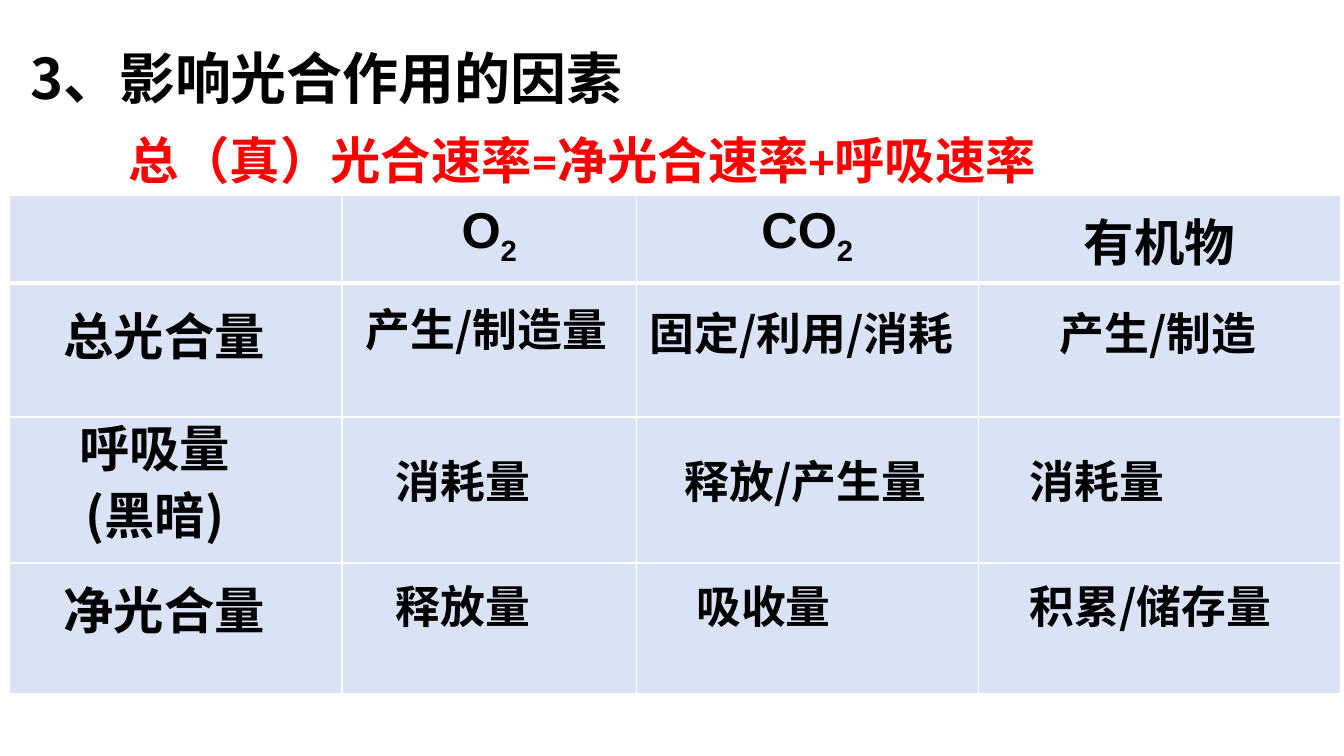
from lxml import etree
from pptx import Presentation
from pptx.dml.color import RGBColor
from pptx.enum.text import PP_ALIGN
from pptx.oxml.ns import qn
from pptx.util import Cm, Pt

LEFT, CENTER = PP_ALIGN.LEFT, PP_ALIGN.CENTER
CJK_FONT = "Noto Sans CJK SC"
BLACK, RED, WHITE, CELL_BLUE = "000000", "FF0000", "FFFFFF", "DAE3F5"

# Content: text, left, top, width, height (cm), alignment
TITLE = ("3、影响光合作用的因素", 0.51, 1.17, 18.92, 2.11, LEFT)
FORMULA = ("总（真）光合速率=净光合速率+呼吸速率", 3, 3.12, 25.53, 1.8, LEFT)
ROW_HEADINGS = [
    ("总光合量", 1.35, 7.57, 5.79, 1.55, LEFT),
    ("净光合量", 1.35, 14.48, 6.58, 1.8, LEFT),
]
DARK_HEADING = ("呼吸量\n(黑暗)", 1.32, 10.24, 5.16, 4.39, CENTER)
ENTRIES = [
    ("产生/制造量", 8.97, 7.49, 6.83, 1.63, LEFT),
    ("固定/利用/消耗", 15.8, 7.57, 8.81, 1.63, CENTER),
    ("产生/制造", 25.81, 7.57, 6.73, 1.63, CENTER),
    ("消耗量", 9.73, 11.3, 3.95, 1.63, LEFT),
    ("释放/产生量", 16.89, 11.3, 6.83, 1.63, CENTER),
    ("消耗量", 25.7, 11.3, 3.95, 1.63, LEFT),
    ("释放量", 9.73, 14.45, 3.95, 1.63, LEFT),
    ("吸收量", 17.3, 14.45, 3.95, 1.63, LEFT),
    ("积累/储存量", 25.7, 14.45, 6.83, 1.63, LEFT),
]

# Table: header cells as (text, subscript)
HEADER = [("", ""), ("O", "2"), ("CO", "2"), ("有机物", "")]
TABLE_LEFT, TABLE_TOP = 0.24, 4.93
COLUMN_WIDTHS = [8.38, 7.42, 8.61, 9.14]
ROW_HEIGHTS = [1.93, 3.38, 3.68, 3.3]

# Formats
TITLE_STYLE = {"size": Pt(40), "name": CJK_FONT}
FORMULA_STYLE = {"size": Pt(36), "name": "Calibri"}
HEADING_STYLE = {"size": Pt(36), "name": CJK_FONT}
ENTRY_STYLE = {"size": Pt(32), "name": CJK_FONT}
HEADER_STYLE = {"size": Pt(36), "name": "Arial"}
HEADER_MARGINS = {"margin_left": Cm(0.33), "margin_right": Cm(0.33),
                  "margin_top": Cm(0.18), "margin_bottom": Cm(0.18)}


def color(value):
    return RGBColor.from_string(value)


def add_run(paragraph, text, style, text_color=BLACK):
    run = paragraph.add_run()
    run.text = text
    for name, value in style.items():
        setattr(run.font, name, value)
    run.font.bold = True
    run.font.color.rgb = color(text_color)
    east_asian = etree.SubElement(run.font._element, qn("a:ea"))
    east_asian.set("typeface", CJK_FONT)
    return run


def add_text(slide, item, style, text_color=BLACK, line_spacing=None):
    text, left, top, width, height, alignment = item
    box = slide.shapes.add_textbox(Cm(left), Cm(top), Cm(width), Cm(height))
    frame = box.text_frame
    frame.word_wrap = True
    for index, line in enumerate(text.split("\n")):
        paragraph = frame.add_paragraph() if index else frame.paragraphs[0]
        paragraph.alignment = alignment
        paragraph.line_spacing = line_spacing
        add_run(paragraph, line, style, text_color)


def set_borders(cell, widths):
    properties = cell._tc.get_or_add_tcPr()
    for index, (side, width) in enumerate(widths.items()):
        line = etree.Element(qn("a:ln" + side), w=str(Pt(width)))
        fill = etree.SubElement(line, qn("a:solidFill"))
        etree.SubElement(fill, qn("a:srgbClr"), val=WHITE)
        properties.insert(index, line)


def add_comparison_table(slide):
    table = slide.shapes.add_table(
        len(ROW_HEIGHTS), len(COLUMN_WIDTHS), Cm(TABLE_LEFT), Cm(TABLE_TOP),
        Cm(sum(COLUMN_WIDTHS)), Cm(sum(ROW_HEIGHTS))).table
    for column, width in zip(table.columns, COLUMN_WIDTHS):
        column.width = Cm(width)
    for row_index, (row, height) in enumerate(zip(table.rows, ROW_HEIGHTS)):
        row.height = Cm(height)
        for cell in row.cells:
            cell.fill.solid()
            cell.fill.fore_color.rgb = color(CELL_BLUE)
            set_borders(cell, {"L": 1, "R": 1, "T": 3 if row_index == 1 else 1,
                               "B": 3 if row_index == 0 else 1})
    for cell, (text, subscript) in zip(table.rows[0].cells, HEADER):
        for name, value in HEADER_MARGINS.items():
            setattr(cell, name, value)
        paragraph = cell.text_frame.paragraphs[0]
        paragraph.alignment = CENTER
        if text:
            add_run(paragraph, text, HEADER_STYLE)
        if subscript:
            run = add_run(paragraph, subscript, HEADER_STYLE)
            run.font._element.set("baseline", "-25000")


def main():
    presentation = Presentation()
    presentation.slide_width, presentation.slide_height = Cm(33.87), Cm(19.05)
    slide = presentation.slides.add_slide(presentation.slide_layouts[6])

    # Table grid, then the entries placed over it
    add_comparison_table(slide)
    for entry in ENTRIES:
        add_text(slide, entry, ENTRY_STYLE)
    for heading in ROW_HEADINGS:
        add_text(slide, heading, HEADING_STYLE)
    add_text(slide, DARK_HEADING, HEADING_STYLE, line_spacing=1.1)

    # Title and formula
    add_text(slide, TITLE, TITLE_STYLE, line_spacing=0.9)
    add_text(slide, FORMULA, FORMULA_STYLE, RED)
    presentation.save("out.pptx")


if __name__ == "__main__":
    main()
